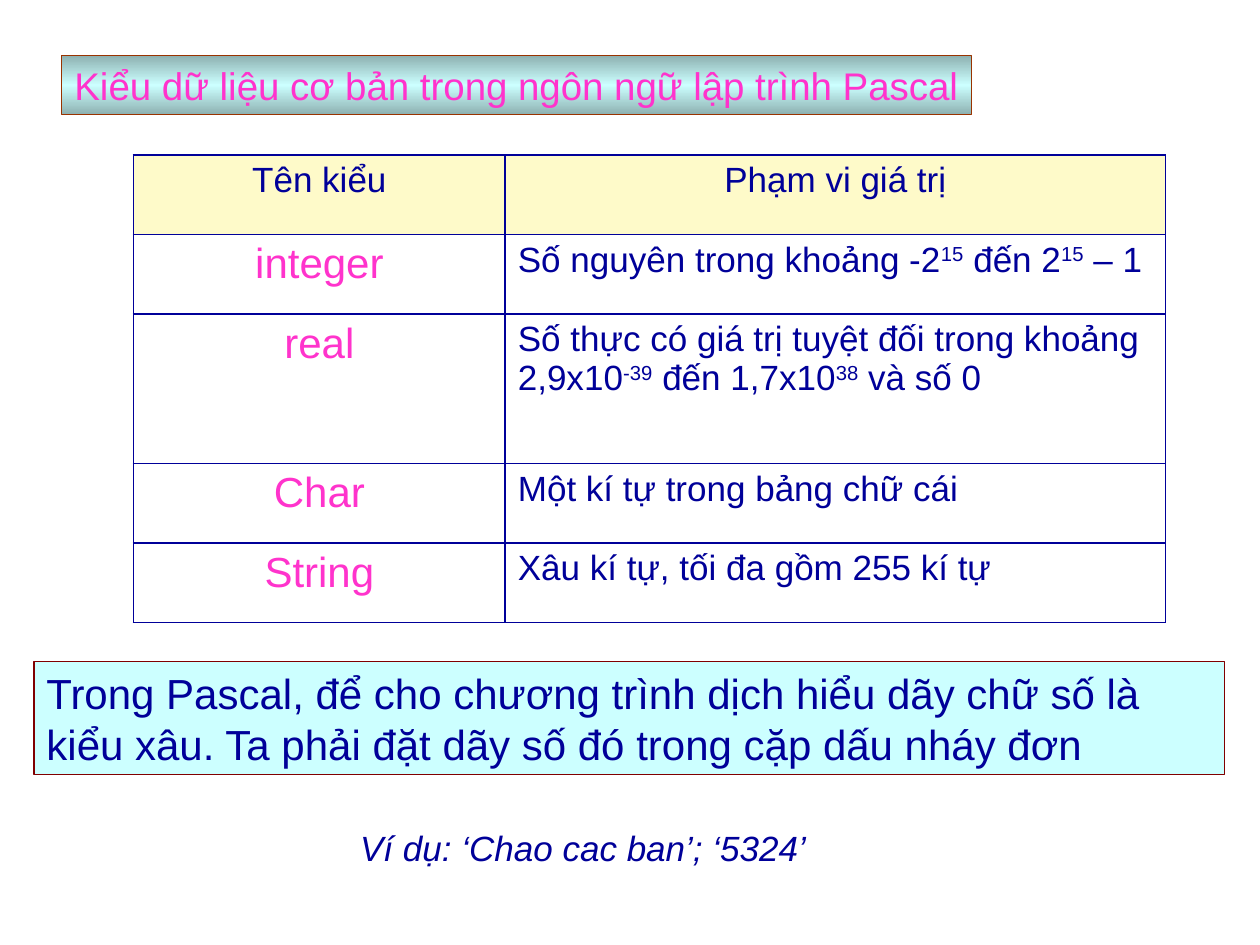
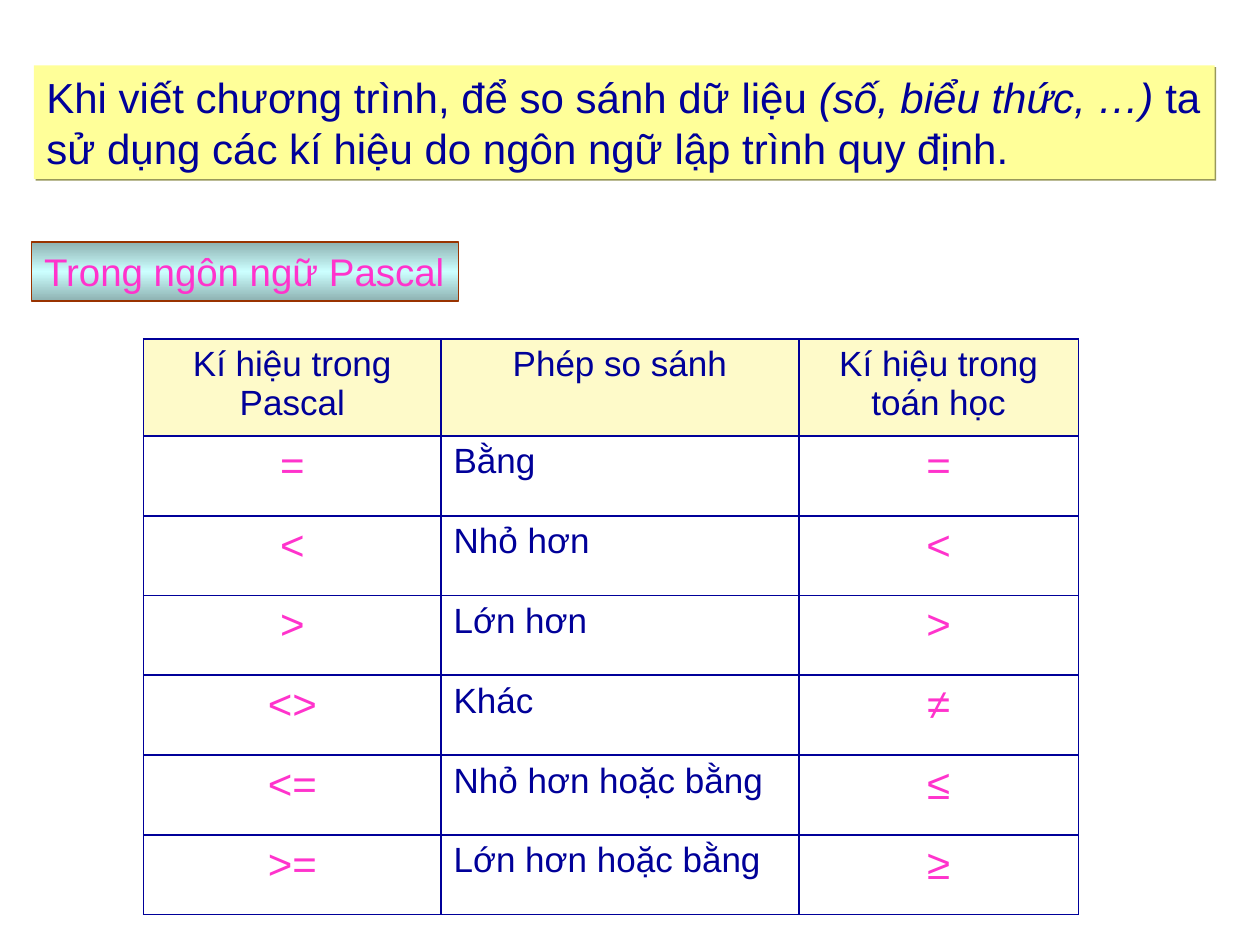
"""Build two slides on Pascal data types and comparison signs."""
import copy

import pptx
import pptx.util
import pptx.dml.color
import pptx.enum.shapes
import pptx.enum.text
import pptx.oxml
import pptx.oxml.ns
from lxml import etree

Inches = pptx.util.Inches
Pt = pptx.util.Pt
RGB = pptx.dml.color.RGBColor
ALIGN = pptx.enum.text.PP_ALIGN
qn = pptx.oxml.ns.qn

NAVY = RGB(0x00, 0x00, 0x99)
PINK = RGB(0xFF, 0x33, 0xCC)
WHITE = RGB(0xFF, 0xFF, 0xFF)
CREAM = RGB(0xFE, 0xFA, 0xC9)
AQUA = RGB(0xCC, 0xFF, 0xFF)
TEAL = RGB(0x8D, 0xB1, 0xB1)
RUST = RGB(0x99, 0x33, 0x00)
MAROON = RGB(0x80, 0x00, 0x00)
YELLOW = RGB(0xFF, 0xFF, 0x99)
OLIVE = RGB(0x98, 0x98, 0x5B)

FONT = {"name": "Arial", "bold": False, "italic": False}
FRAME = {
    "margin_left": Inches(0.1), "margin_right": Inches(0.1),
    "margin_top": Inches(0.05), "margin_bottom": Inches(0.05),
    "auto_size": pptx.enum.text.MSO_AUTO_SIZE.NONE,
    "vertical_anchor": pptx.enum.text.MSO_ANCHOR.TOP,
}

TYPES = [
    ("Tên kiểu", "Phạm vi giá trị"),
    ("integer", ("Số nguyên trong khoảng -2", "15", " đến 2", "15", " – 1")),
    ("real", ("Số thực có giá trị tuyệt đối trong khoảng 2,9x10", "-39",
              " đến 1,7x10", "38", " và số 0")),
    ("Char", "Một kí tự trong bảng chữ cái"),
    ("String", "Xâu kí tự, tối đa gồm 255 kí tự"),
]
SIGNS = [
    ("Kí hiệu trong Pascal", "Phép so sánh", "Kí hiệu trong toán học"),
    ("=", "Bằng", "="),
    ("<", "Nhỏ hơn", "<"),
    (">", "Lớn hơn", ">"),
    ("<>", "Khác", "≠"),
    ("<=", "Nhỏ hơn hoặc bằng", "≤"),
    (">=", "Lớn hơn hoặc bằng", "≥"),
]


def apply(item, look):
    """Set each attribute named in the look."""
    for key, value in look.items():
        setattr(item, key, value)


def lift(run):
    """Raise a run as a superscript."""
    run.font._element.set("baseline", "30000")


def slant(run):
    """Set a run in italics."""
    run.font.italic = True


def write(frame, text, size, color, align=ALIGN.LEFT, before=0, mark=slant):
    """Write one paragraph, marking every second part of a tuple."""
    para = frame.paragraphs[0]
    apply(para, {"alignment": align, "space_before": Pt(before)})
    parts = (text,) if isinstance(text, str) else text
    for num, part in enumerate(parts):
        run = para.add_run()
        run.text = part
        apply(run.font, {**FONT, "size": Pt(size)})
        run.font.color.rgb = color
        if num % 2:
            mark(run)


def place(shape, box):
    """Move a shape to a box given in inches."""
    names = ("left", "top", "width", "height")
    apply(shape, dict(zip(names, map(Inches, box))))


def title(slide, text, box):
    """Turn the title placeholder into a shaded label."""
    shape = slide.shapes.title
    place(shape, box)
    shape.fill.gradient()
    shape.fill.gradient_angle = 90
    stops = shape._element.spPr.find(".//" + qn("a:gsLst"))
    stops.insert(1, copy.deepcopy(stops[0]))
    shades = (TEAL, AQUA, TEAL)
    for num, (stop, color) in enumerate(zip(shape.fill.gradient_stops, shades)):
        stop.position = num / 2
        stop.color.rgb = color
    apply(shape.line, {"width": Pt(0.75)})
    shape.line.color.rgb = RUST
    apply(shape.text_frame, {**FRAME, "word_wrap": False})
    write(shape.text_frame, text, 22, PINK)


def panel(slide, text, box, fill, line=None, before=0):
    """Add a filled text panel with an optional outline."""
    kind = pptx.enum.shapes.MSO_SHAPE.RECTANGLE
    shape = slide.shapes.add_shape(kind, *map(Inches, box))
    shape.shadow.inherit = False
    shape.fill.solid()
    shape.fill.fore_color.rgb = fill
    if line is None:
        shape.line.fill.background()
    else:
        shape.line.color.rgb = line
        shape.line.width = Pt(0.75)
    apply(shape.text_frame, {**FRAME, "word_wrap": True})
    write(shape.text_frame, text, 24, NAVY, before=before)
    return shape


def shade(shape, color):
    """Give a shape a thin hard shadow to the lower right."""
    group = shape._element.spPr.find(qn("a:effectLst"))
    drop = etree.SubElement(group, qn("a:outerShdw"), blurRad="0",
                            dist=str(Pt(1.4)), dir="2700000", algn="ctr")
    etree.SubElement(drop, qn("a:srgbClr"), val=str(color))


def note(slide, text, box):
    """Add a line of italic text."""
    frame = slide.shapes.add_textbox(*map(Inches, box)).text_frame
    apply(frame, {**FRAME, "word_wrap": False})
    write(frame, ("", text), 20, NAVY)


def edge(cell):
    """Draw the four borders of a cell."""
    props = cell._tc.get_or_add_tcPr()
    for side in ("lnL", "lnR", "lnT", "lnB"):
        line = etree.SubElement(props, qn("a:" + side), w=str(Pt(1.08)))
        fill = etree.SubElement(line, qn("a:solidFill"))
        etree.SubElement(fill, qn("a:srgbClr"), val=str(NAVY))


def grid(slide, rows, spot, widths, heights):
    """Add a table with a cream header and pink key columns."""
    size = sum(widths), sum(heights)
    table = slide.shapes.add_table(len(rows), len(widths),
                                   *map(Inches, (*spot, *size))).table
    apply(table, {"first_row": False, "horz_banding": False})
    for col, width in zip(table.columns, widths):
        col.width = Inches(width)
    for row, height in zip(table.rows, heights):
        row.height = Inches(height)
    for y, row in enumerate(rows):
        for x, text in enumerate(row):
            cell = table.cell(y, x)
            edge(cell)
            cell.fill.solid()
            cell.fill.fore_color.rgb = WHITE if y else CREAM
            key = y > 0 and x != 1
            size, color = (24, PINK) if key else (20, NAVY)
            align = ALIGN.LEFT if y and x == 1 else ALIGN.CENTER
            write(cell.text_frame, text, size, color, align, 6, lift)


def main():
    """Build and save the deck."""
    deck = pptx.Presentation()
    apply(deck, {"slide_width": Inches(10), "slide_height": Inches(7.5)})
    layout = deck.slide_layouts[5]

    types = deck.slides.add_slide(layout)
    title(types, "Kiểu dữ liệu cơ bản trong ngôn ngữ lập trình Pascal",
          (0.49, 0.44, 7.22, 0.47))
    grid(types, TYPES, (1.06, 1.23), (2.95, 5.24),
         (0.63, 0.63, 1.19, 0.63, 0.63))
    panel(types, "Trong Pascal, để cho chương trình dịch hiểu dãy chữ số là "
          "kiểu xâu. Ta phải đặt dãy số đó trong cặp dấu nháy đơn",
          (0.27, 5.25, 9.45, 0.9), AQUA, MAROON)
    note(types, "Ví dụ: ‘Chao cac ban’; ‘5324’", (2.76, 6.51, 3.74, 0.44))

    signs = deck.slides.add_slide(layout)
    intro = panel(signs, ("Khi viết chương trình, để so sánh dữ liệu ",
                          "(số, biểu thức, …)",
                          " ta sử dụng các kí hiệu do ngôn ngữ lập trình "
                          "quy định."),
                  (0.27, 0.52, 9.37, 0.9), YELLOW, before=15)
    shade(intro, OLIVE)
    title(signs, "Trong ngôn ngữ Pascal", (0.25, 1.92, 3.39, 0.47))
    grid(signs, SIGNS, (1.14, 2.69), (2.36, 2.84, 2.22),
         [0.77] + [3.8 / 6] * 6)

    deck.save("out.pptx")


if __name__ == "__main__":
    main()
